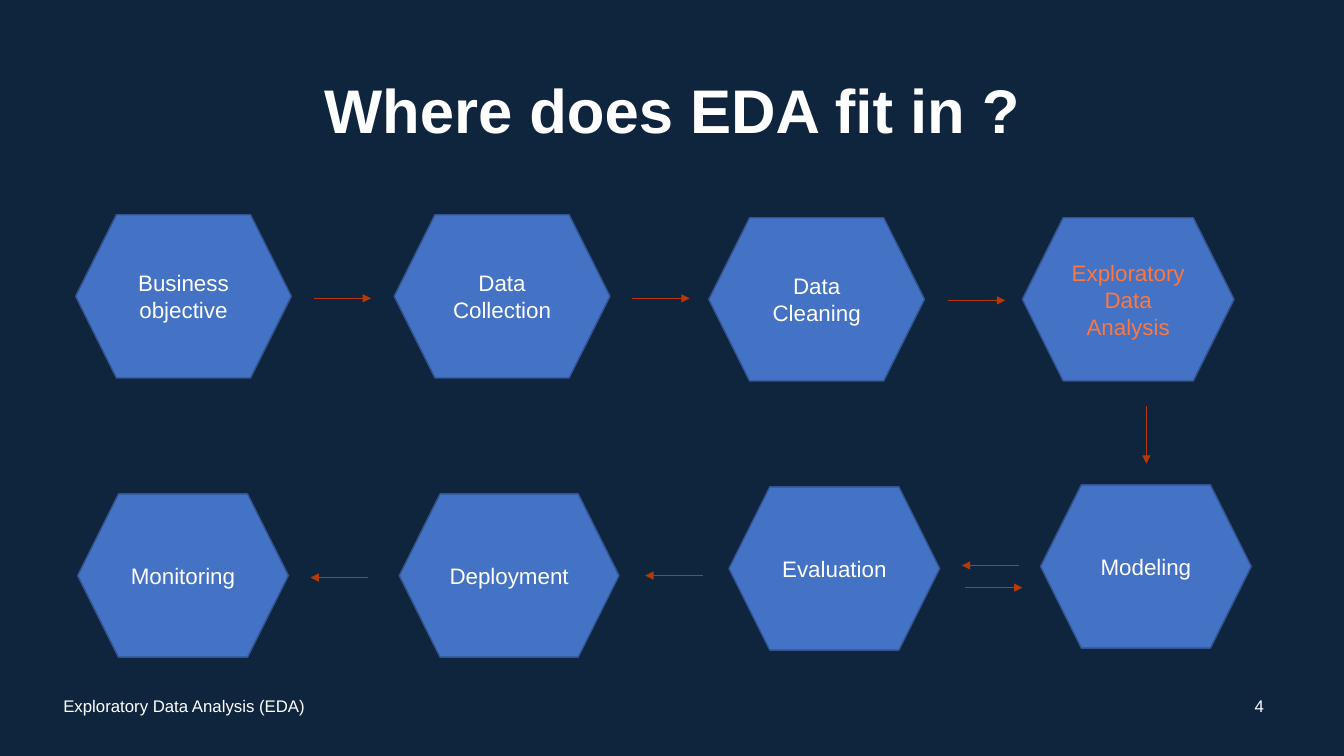
from lxml import etree
from pptx import Presentation
from pptx.dml.color import RGBColor
from pptx.enum.shapes import MSO_CONNECTOR, MSO_SHAPE
from pptx.enum.text import MSO_ANCHOR as ANCHOR, PP_ALIGN as ALIGN
from pptx.oxml.ns import qn
from pptx.util import Inches, Pt

NAVY, WHITE, BLUE, EDGE = "0F253E", "FFFFFF", "4472C4", "325491"
ORANGE, RUST = "FC7840", "B83903"
STEP_H = 1.62
ARROW = 0.57

# label, left, top, width, text colour
STEPS = [
    ("Business objective", 0.75, 2.13, 2.14, WHITE),
    ("Data Collection", 3.91, 2.13, 2.14, WHITE),
    ("Data Cleaning", 7.03, 2.16, 2.14, WHITE),
    ("Exploratory Data Analysis", 10.14, 2.16, 2.1, ORANGE),
    ("Modeling", 10.32, 4.81, 2.09, WHITE),
    ("Evaluation", 7.23, 4.83, 2.09, WHITE),
    ("Deployment", 3.96, 4.9, 2.18, WHITE),
    ("Monitoring", 0.77, 4.9, 2.09, WHITE),
]

# start x, start y, direction x, direction y
ARROWS = [
    (3.11, 2.96, 1, 0),
    (6.27, 2.96, 1, 0),
    (9.4, 2.98, 1, 0),
    (11.37, 4.03, 0, 1),
    (10.11, 5.61, -1, 0),
    (9.57, 5.83, 1, 0),
    (6.97, 5.71, -1, 0),
    (3.65, 5.73, -1, 0),
]


def rgb(value):
    return RGBColor.from_string(value)


def write(sp, text, size, color=WHITE, align=ALIGN.CENTER, bold=False):
    tf = sp.text_frame
    tf.word_wrap = True
    tf.vertical_anchor = ANCHOR.MIDDLE
    p = tf.paragraphs[0]
    p.alignment = align
    r = p.add_run()
    r.text = text
    r.font.name = "Arial"
    r.font.size = Pt(size)
    r.font.bold = bold
    r.font.color.rgb = rgb(color)
    return p


def add_title(s, text, x, y, w, h):
    sp = s.shapes.title
    sp.left, sp.top, sp.width, sp.height = map(Inches, (x, y, w, h))
    write(sp, text, 44, bold=True).line_spacing = 0.9


def add_footer(s, label, number, x, y, w, h):
    """Label at the left end of the box, page number at the right end."""
    number_w = 0.5
    sp = s.shapes.add_textbox(Inches(x), Inches(y), Inches(4.5), Inches(h))
    write(sp, label, 12, align=ALIGN.LEFT)
    sp = s.shapes.add_textbox(Inches(x + w - number_w), Inches(y), Inches(number_w), Inches(h))
    write(sp, number, 12)


def add_step(s, label, x, y, w, color):
    sp = s.shapes.add_shape(MSO_SHAPE.HEXAGON, Inches(x), Inches(y), Inches(w), Inches(STEP_H))
    sp.shadow.inherit = False
    sp.fill.solid()
    sp.fill.fore_color.rgb = rgb(BLUE)
    sp.line.color.rgb = rgb(EDGE)
    sp.line.width = Pt(1)
    write(sp, label, 16, color)


def add_arrow(s, x, y, dx, dy):
    line = s.shapes.add_connector(MSO_CONNECTOR.STRAIGHT, Inches(x), Inches(y),
                                  Inches(x + dx * ARROW), Inches(y + dy * ARROW))
    line.line.color.rgb = rgb(RUST)
    line.line.width = Pt(0.5)
    etree.SubElement(line.line._get_or_add_ln(), qn("a:tailEnd"), type="triangle")
    etree.SubElement(line._element.spPr, qn("a:effectLst"))


def add_process(s):
    for step in STEPS:
        add_step(s, *step)
    for arrow in ARROWS:
        add_arrow(s, *arrow)


def main():
    prs = Presentation()
    prs.slide_width, prs.slide_height = Inches(13.33), Inches(7.5)
    s = prs.slides.add_slide(prs.slide_layouts[5])
    s.background.fill.solid()
    s.background.fill.fore_color.rgb = rgb(NAVY)
    add_title(s, "Where does EDA fit in ?", 0.92, 0.4, 11.5, 1.45)
    add_footer(s, "Exploratory Data Analysis (EDA)", "4", 0.53, 6.8, 12.21, 0.4)
    add_process(s)
    prs.save("out.pptx")


if __name__ == "__main__":
    main()
